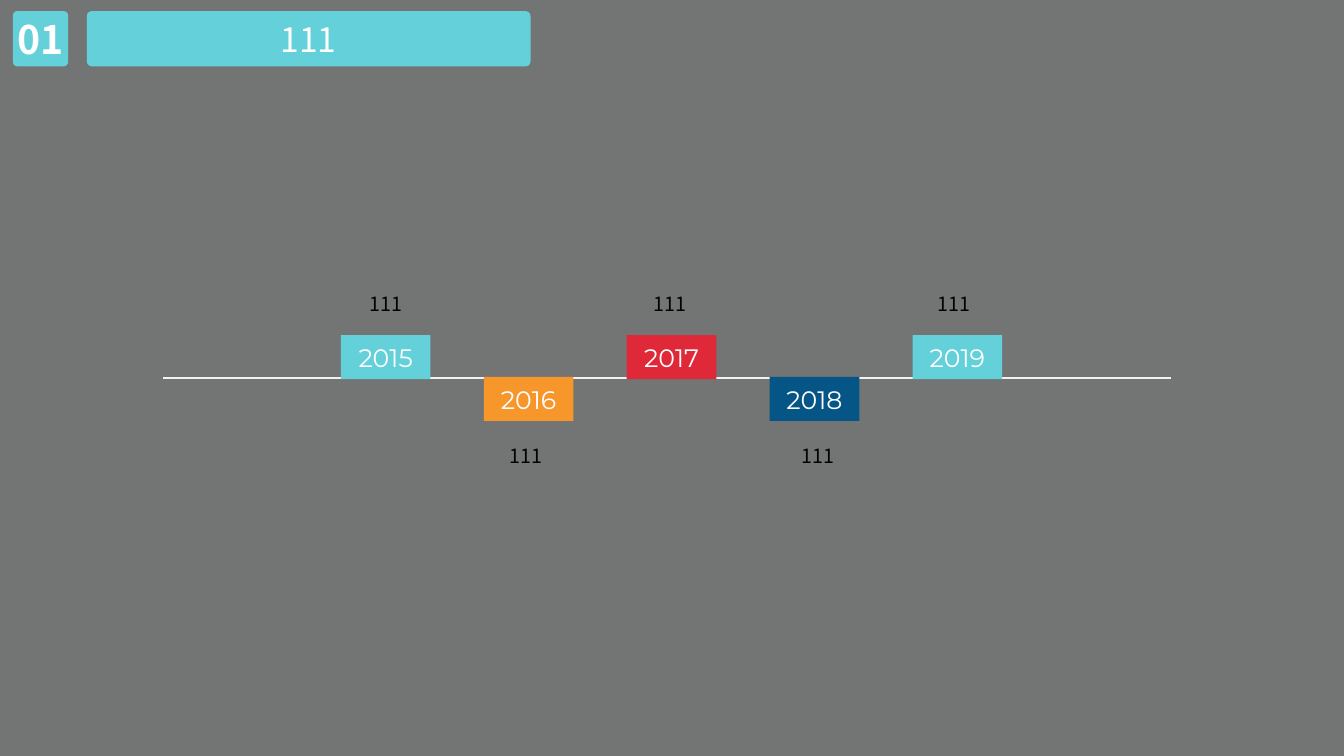
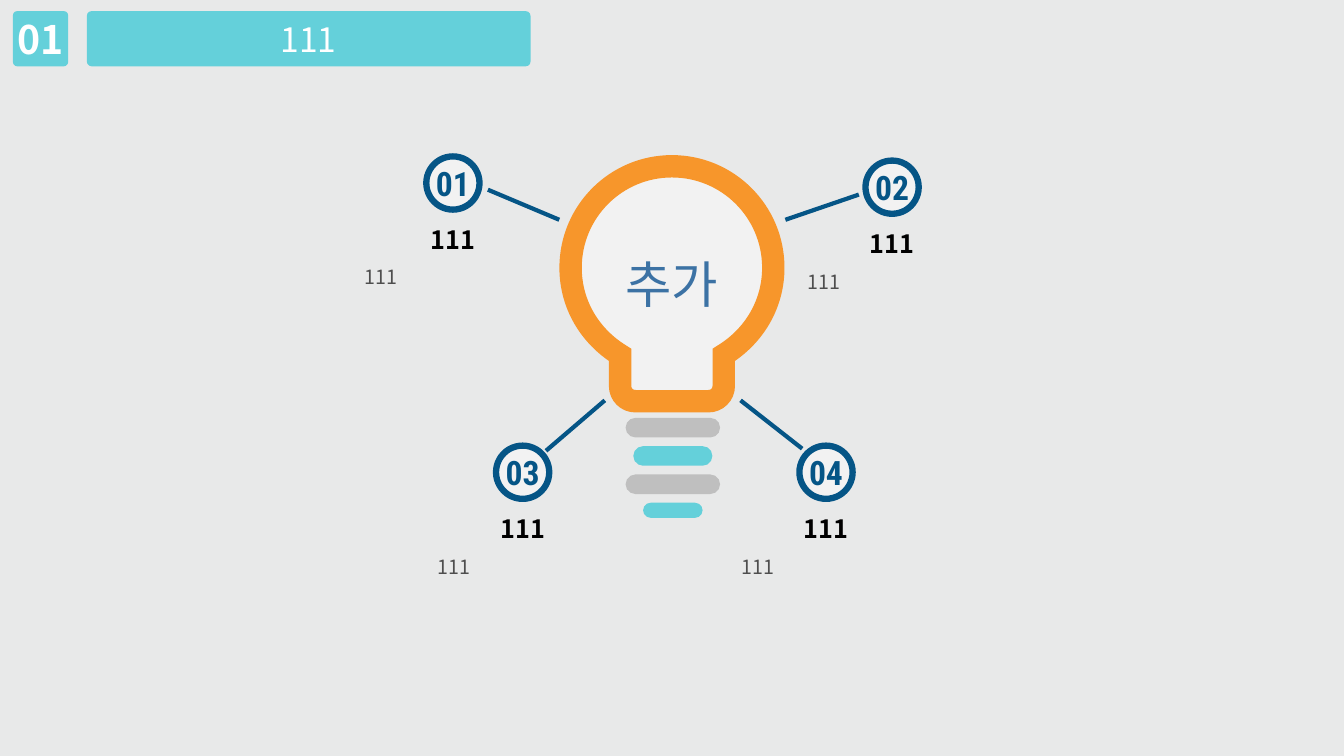
from lxml import etree
from pptx import Presentation
from pptx.dml.color import RGBColor
from pptx.enum.shapes import MSO_CONNECTOR, MSO_SHAPE
from pptx.enum.text import MSO_ANCHOR, MSO_AUTO_SIZE, PP_ALIGN
from pptx.oxml.ns import qn
from pptx.util import Pt

RECT = MSO_SHAPE.RECTANGLE
ROUND_RECT = MSO_SHAPE.ROUNDED_RECTANGLE
OVAL = MSO_SHAPE.OVAL
STRAIGHT = MSO_CONNECTOR.STRAIGHT
TOP, MIDDLE, BOTTOM = MSO_ANCHOR.TOP, MSO_ANCHOR.MIDDLE, MSO_ANCHOR.BOTTOM
LEFT, CENTER = PP_ALIGN.LEFT, PP_ALIGN.CENTER
NO_AUTOSIZE = MSO_AUTO_SIZE.NONE

BACKGROUND = RGBColor(0xE8, 0xE9, 0xE9)
BLACK = RGBColor(0x00, 0x00, 0x00)
WHITE = RGBColor(0xFF, 0xFF, 0xFF)
PALE = RGBColor(0xF2, 0xF2, 0xF2)
SILVER = RGBColor(0xBF, 0xBF, 0xBF)
DARK_GREY = RGBColor(0x4E, 0x4E, 0x4E)
AQUA = RGBColor(0x64, 0xD0, 0xDA)
RED = RGBColor(0xDF, 0x29, 0x38)
ORANGE = RGBColor(0xF7, 0x96, 0x2B)
NAVY = RGBColor(0x05, 0x55, 0x86)
BLUE = RGBColor(0x3C, 0x72, 0xA4)

SANS = "Noto Sans CJK SC"
YEAR_FONT = "Montserrat"
NUMBER_FONT = "Roboto Condensed"

SLIDE_W, SLIDE_H = 960, 540
TITLE_BOUNDS = (62, 7.9, 317, 39.5)
INSETS = (7.2, 3.6, 7.2, 3.6)
NO_INSETS = (0, 0, 0, 0)

# year, colour, caption, caption left
MILESTONES = [
    ("2015", AQUA, "111", 208.2),
    ("2016", ORANGE, "111", 308.2),
    ("2017", RED, "111", 411.2),
    ("2018", NAVY, "111", 517),
    ("2019", AQUA, "111", 614.2),
]

# number, heading, body, circle left and top, body left, connector start and end
IDEAS = [
    ("01", "111", "111", 304.5, 111.7, 253.5, (348.5, 135.5), (399.5, 157)),
    ("02", "111", "111", 618.2, 114.7, 569.5, (613.5, 139), (561, 157)),
    ("03", "111", "111", 354.3, 318.3, 305.7, (390, 322), (432, 286)),
    ("04", "111", "111", 571, 318.3, 522.5, (573, 320.5), (529, 286)),
]

# width, height, colour
SCREW_BARS = [
    (67.5, 14, SILVER),
    (56.5, 14, AQUA),
    (67.5, 14, SILVER),
    (42.5, 10.8, AQUA),
]

BULB_X = 480
# Right half from the crown to the foot: offset from the axis, height on the slide
BULB_HALF = [
    (0, 118.8),
    (40, 118.8), (72.4, 151.2), (72.4, 191.3),
    (72.4, 217.4), (58.6, 240.2), (37, 253.5),
    (37, 275.8),
    (37, 281.8), (32.2, 286.6), (26, 286.6),
]
# C takes three points, L takes one
BULB_SEGMENTS = "CCLCLCLCC"


def box(x, y, w, h):
    return Pt(x), Pt(y), Pt(w), Pt(h)


def set_text(sp, text, size, color, font=SANS, bold=False, align=CENTER,
             anchor=MIDDLE, insets=INSETS, spacing=None):
    tf = sp.text_frame
    tf.word_wrap = True
    tf.auto_size = NO_AUTOSIZE
    tf.vertical_anchor = anchor
    tf.margin_left, tf.margin_top, tf.margin_right, tf.margin_bottom = map(Pt, insets)
    p = tf.paragraphs[0]
    p.text = text
    p.alignment = align
    if spacing:
        p.line_spacing = spacing
    p.font.size = Pt(size)
    p.font.bold = bold
    p.font.color.rgb = color
    p.font.name = font
    # East Asian text takes its typeface from a separate element.
    props = p._p.pPr.find(qn("a:defRPr"))
    etree.SubElement(props, qn("a:ea"), typeface=font)


def paint(sp, fill, line=None, line_width=0):
    sp.shadow.inherit = False
    sp.fill.solid()
    sp.fill.fore_color.rgb = fill
    if line is None:
        sp.line.fill.background()
    else:
        sp.line.color.rgb = line
        sp.line.width = Pt(line_width)


def add_shape(slide, kind, bounds, fill, line=None, line_width=0, radius=None):
    sp = slide.shapes.add_shape(kind, *box(*bounds))
    if radius is not None:
        sp.adjustments[0] = radius
    paint(sp, fill, line, line_width)
    return sp


def add_text(slide, bounds, text, size, color, **style):
    sp = slide.shapes.add_textbox(*box(*bounds))
    set_text(sp, text, size, color, **style)


def add_line(slide, start, end, color, width):
    cn = slide.shapes.add_connector(STRAIGHT, *map(Pt, start + end))
    cn.line.color.rgb = color
    cn.line.width = Pt(width)
    etree.SubElement(cn.element.spPr, qn("a:effectLst"))


def add_header(slide, number, text):
    """Number tile and rounded title band, in front of everything else."""
    tile = add_shape(slide, ROUND_RECT, (9.2, 7.9, 39.5, 39.5), AQUA, radius=0.08)
    set_text(tile, number, 28, WHITE, bold=True, insets=NO_INSETS)
    add_shape(slide, ROUND_RECT, TITLE_BOUNDS, AQUA, radius=0.09)

    title = slide.shapes.title
    title.left, title.top, title.width, title.height = box(*TITLE_BOUNDS)
    set_text(title, text, 24, WHITE)
    title.element.getparent().append(title.element)


def add_dimmer(slide):
    """Half-transparent black over the whole slide."""
    sp = add_shape(slide, RECT, (0, 0, SLIDE_W, SLIDE_H), BLACK)
    color = sp.element.spPr.find(qn("a:solidFill")).find(qn("a:srgbClr"))
    etree.SubElement(color, qn("a:alpha"), val="50000")


def add_milestone(slide, index, year, color, caption, caption_x):
    above = index % 2 == 0
    tag_y, caption_y = (239.3, 160) if above else (269.2, 312)
    tag = add_shape(slide, RECT, (243.5 + index * 102.1, tag_y, 64, 31.5), color)
    set_text(tag, year, 18, WHITE, font=YEAR_FONT)
    add_text(slide, (caption_x, caption_y, 134.5, 65.5), caption, 14, BLACK,
             anchor=BOTTOM if above else TOP, insets=NO_INSETS, spacing=1.3)


def curve_outline(sp, segments):
    """Turn the straight outline into curves, three points to each C."""
    outline = next(sp.element.iter(qn("a:path")))
    steps = iter(outline.findall(qn("a:lnTo")))
    for segment in segments:
        step = next(steps)
        if segment == "C":
            step.tag = qn("a:cubicBezTo")
            for _ in range(2):
                extra = next(steps)
                step.append(extra[0])
                outline.remove(extra)


def add_bulb(slide, text):
    right = [(BULB_X + dx, y) for dx, y in BULB_HALF]
    left = [(BULB_X - dx, y) for dx, y in reversed(BULB_HALF)]
    units = [(x * 100, y * 100) for x, y in right + left]
    builder = slide.shapes.build_freeform(*units[0], scale=Pt(1) / 100)
    builder.add_line_segments(units[1:], close=True)
    sp = builder.convert_to_shape()
    curve_outline(sp, BULB_SEGMENTS)
    paint(sp, PALE, ORANGE, 16)
    etree.SubElement(sp.element.spPr.find(qn("a:ln")), qn("a:miter"), lim="800000")
    set_text(sp, text, 36, BLUE)


def add_screw(slide):
    for i, (w, h, color) in enumerate(SCREW_BARS):
        bounds = (480.6 - w / 2, 298.5 + i * 20.2, w, h)
        add_shape(slide, ROUND_RECT, bounds, color, radius=0.5)


def add_idea(slide, number, heading, body, x, y, body_x, start, end):
    circle = add_shape(slide, OVAL, (x, y, 38, 38), PALE, NAVY, 4.5)
    set_text(circle, number, 24, NAVY, font=NUMBER_FONT, bold=True, insets=NO_INSETS)
    add_line(slide, start, end, NAVY, 3)
    add_text(slide, (x - 29, y + 49.2, 96, 24.5), heading, 18, BLACK,
             bold=True, anchor=TOP, spacing=0.8)
    add_text(slide, (body_x, y + 69.3, 135, 27.5), body, 14, DARK_GREY,
             align=LEFT, anchor=TOP, spacing=1.3)


def build_timeline(slide):
    add_dimmer(slide)
    add_line(slide, (116.5, 270), (836.5, 270), PALE, 1.75)
    for i, milestone in enumerate(MILESTONES):
        add_milestone(slide, i, *milestone)
    add_header(slide, "01", "111")


def build_ideas(slide):
    add_bulb(slide, "추가")
    add_screw(slide)
    for idea in IDEAS:
        add_idea(slide, *idea)
    add_header(slide, "01", "111")


def main():
    prs = Presentation()
    prs.slide_width, prs.slide_height = Pt(SLIDE_W), Pt(SLIDE_H)
    fill = prs.slide_master.background.fill
    fill.solid()
    fill.fore_color.rgb = BACKGROUND
    title_only = prs.slide_layouts.get_by_name("Title Only")
    for build in (build_timeline, build_ideas):
        build(prs.slides.add_slide(title_only))
    prs.save("out.pptx")


if __name__ == "__main__":
    main()
